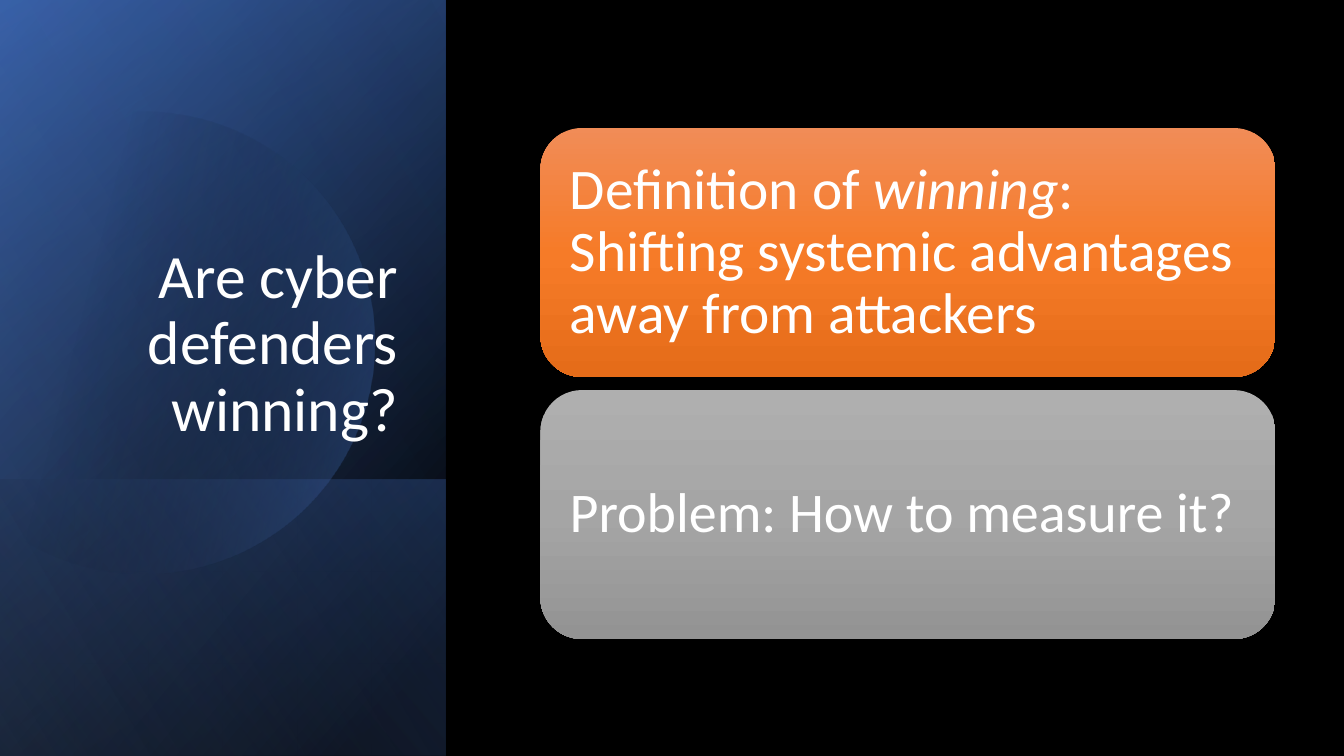
from math import acos, cos, sin, pi
from lxml.etree import SubElement
from pptx import Presentation
from pptx.dml.color import RGBColor
from pptx.enum.shapes import MSO_SHAPE
from pptx.enum.text import MSO_ANCHOR, MSO_AUTO_SIZE, PP_ALIGN
from pptx.oxml.ns import qn
from pptx.util import Inches, Pt

WIDE, HIGH = 13.33, 7.5
FONT = "Calibri"
HUES = {
    "black": "000000", "white": "FFFFFF", "navy": "2F5597",
    "blue": "4472C4", "pale": "8FAADC",
    "peach": "F18C57", "orange": "F67B28", "rust": "E56C19",
    "silver": "AFAFAF", "gray": "A5A5A5", "slate": "939393",
}


def paint(shape, stops, angle):
    """Fill with a gradient of (place, hue, opacity) stops, in percent."""
    shape.shadow.inherit = False
    shape.line.fill.background()
    shape.fill.gradient()
    grad = shape._element.spPr.find(qn("a:gradFill"))
    grad.set("rotWithShape", "1")
    grad.find(qn("a:lin")).set("ang", str(angle * 60000))
    marks = grad.find(qn("a:gsLst"))
    marks.clear()
    for place, hue, alpha in stops:
        mark = SubElement(marks, qn("a:gs"), pos=str(place * 1000))
        tint = SubElement(mark, qn("a:srgbClr"), val=HUES[hue])
        if alpha < 100:
            SubElement(tint, qn("a:alpha"), val=str(alpha * 1000))


def write(frame, runs, size, align):
    frame.word_wrap = True
    frame.auto_size = MSO_AUTO_SIZE.NONE
    para = frame.paragraphs[0]
    para.alignment = align
    para.line_spacing = 0.9
    for text, slant in runs:
        run = para.add_run()
        run.text = text
        run.font.name = FONT
        run.font.size = Pt(size)
        run.font.italic = slant
        run.font.color.rgb = RGBColor.from_string(HUES["white"])


def add_layer(slide, box, stops, angle):
    """Cover the box with a mirrored rectangle turned by a quarter."""
    x, y, w, h = box
    left, top = x + (w - h) / 2, y + (h - w) / 2
    layer = slide.shapes.add_shape(
        MSO_SHAPE.RECTANGLE, Inches(left), Inches(top), Inches(h), Inches(w))
    layer.rotation = 90
    layer._element.spPr.find(qn("a:xfrm")).set("flipH", "1")
    paint(layer, stops, angle)


def add_disc(slide, box):
    """Draw a disc whose left side is cut off just past the box."""
    x, y, w, h = box
    mid, level, radius, cut = x + 1.42, y + 3.4, 2.29, 1.57
    reach, steps = pi - acos(cut / radius), 90
    turns = [reach * (2 * i / steps - 1) for i in range(steps + 1)]
    rim = [(Inches(mid + radius * cos(t)), Inches(level + radius * sin(t)))
           for t in turns]
    pen = slide.shapes.build_freeform(*rim[0])
    pen.add_line_segments(rim[1:], close=True)
    paint(pen.convert_to_shape(), [(29, "black", 0), (100, "blue", 43)], 14)


def add_panel(slide, box):
    x, y, w, h = box
    low = 2.74
    foot = (x, y + h - low, w, low)
    add_layer(slide, box, [(8, "black", 100), (100, "navy", 100)], 50)
    add_layer(slide, box, [(0, "black", 0), (99, "blue", 46)], 30)
    add_layer(slide, foot, [(2, "blue", 29), (100, "black", 30)], 130)
    add_disc(slide, box)
    add_layer(slide, box, [(0, "black", 0), (99, "pale", 11)], 120)

    title = slide.shapes.title
    slide.shapes._spTree.append(title._element)
    title.left, title.top = Inches(x + 0.64), Inches(y + 1.84)
    title.width, title.height = Inches(3.41), Inches(2.62)
    title.text_frame.vertical_anchor = MSO_ANCHOR.BOTTOM
    write(title.text_frame, [("Are cyber defenders winning?", False)],
          44, PP_ALIGN.RIGHT)


def add_card(slide, box, hues, runs, size):
    card = slide.shapes.add_shape(
        MSO_SHAPE.ROUNDED_RECTANGLE, *[Inches(v) for v in box])
    paint(card, [(50 * i, hue, 100) for i, hue in enumerate(hues)], 90)
    frame = card.text_frame
    frame.margin_left = frame.margin_right = Inches(0.17)
    frame.margin_top = frame.margin_bottom = Inches(0.17)
    frame.vertical_anchor = MSO_ANCHOR.MIDDLE
    write(frame, runs, size, PP_ALIGN.LEFT)


def add_cards(slide, box):
    x, y, w, h = box
    gap = 0.13
    tall = (h - gap) / 2
    cards = [
        (("peach", "orange", "rust"),
         [("Definition of ", False), ("winning", True),
          (": Shifting systemic advantages away from attackers", False)], 41),
        (("silver", "gray", "slate"),
         [("Problem: How to measure it?", False)], 40),
    ]
    for row, (hues, runs, size) in enumerate(cards):
        spot = (x, y + row * (tall + gap), w, tall)
        add_card(slide, spot, hues, runs, size)


def main():
    deck = Presentation()
    deck.slide_width, deck.slide_height = Inches(WIDE), Inches(HIGH)
    slide = deck.slides.add_slide(deck.slide_layouts[5])
    back = slide.background.fill
    back.solid()
    back.fore_color.rgb = RGBColor.from_string(HUES["black"])
    add_panel(slide, (0, 0, 4.42, HIGH))
    add_cards(slide, (5.36, 1.27, 7.29, 5.07))
    deck.save("out.pptx")


if __name__ == "__main__":
    main()
